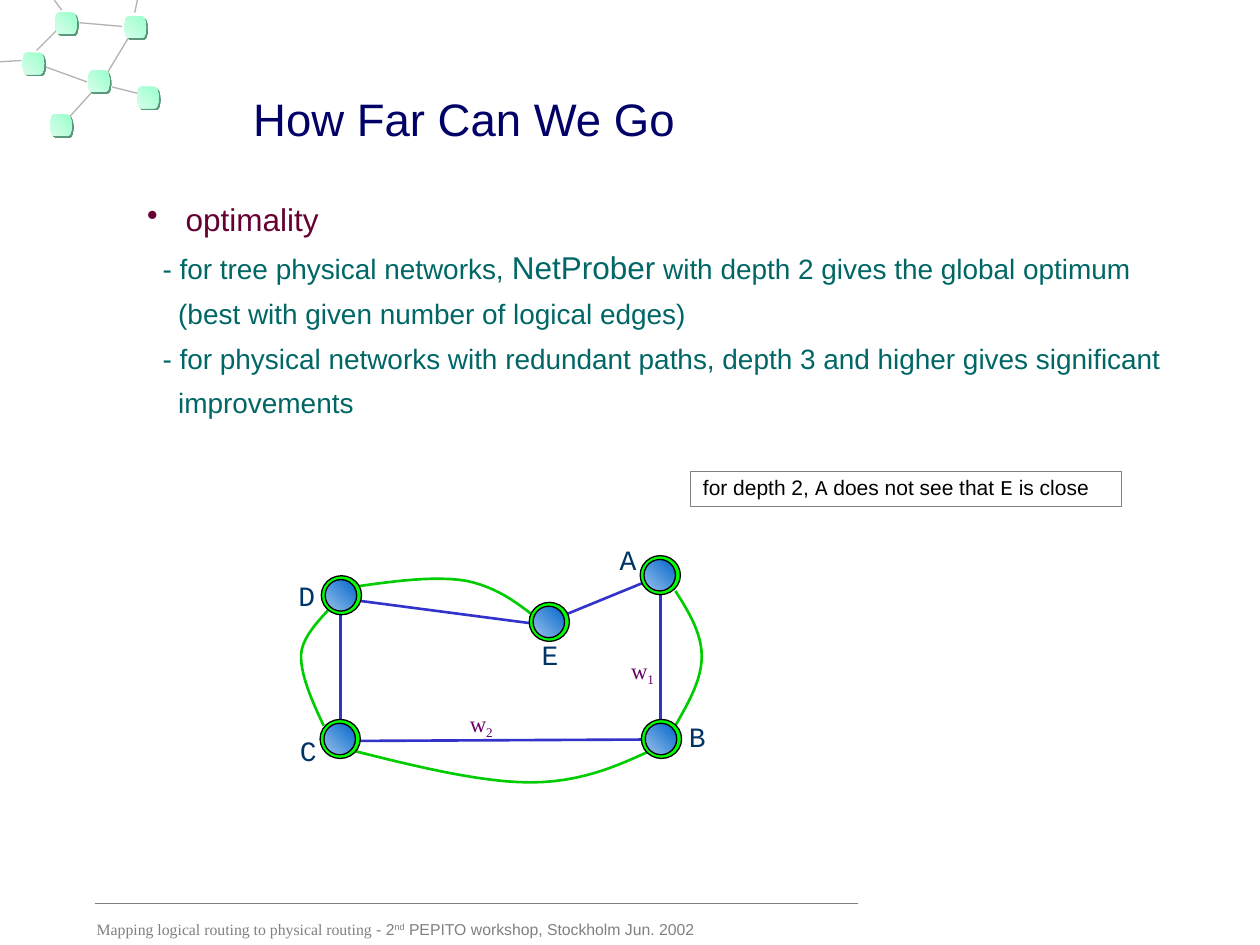
"""Build the slide on how far logical routing can be optimised."""
from lxml import etree
from pptx import Presentation
from pptx.dml.color import RGBColor
from pptx.enum.shapes import MSO_CONNECTOR, MSO_SHAPE
from pptx.enum.text import MSO_ANCHOR, MSO_AUTO_SIZE, PP_ALIGN
from pptx.oxml.ns import qn
from pptx.util import Pt

STRAIGHT = MSO_CONNECTOR.STRAIGHT
DRUM, OVAL, RECTANGLE = MSO_SHAPE.FLOWCHART_DIRECT_ACCESS_STORAGE, MSO_SHAPE.OVAL, MSO_SHAPE.RECTANGLE
TOP, LEFT, FIT_TEXT = MSO_ANCHOR.TOP, PP_ALIGN.LEFT, MSO_AUTO_SIZE.SHAPE_TO_FIT_TEXT
COLORS = {
    "title": "000066", "bullet": "660033", "body": "006666", "black": "000000",
    "label": "003366", "weight": "660066", "gray": "808080", "ornament": "B2B2B2",
    "physical": "3333CC", "logical": "00CC00", "ring": "00FF00",
    "node dark": "0066CC", "node light": "9AC2EA",
    "drum dark": "99FFCC", "drum light": "D8FEEB", "drum shadow": "5B9879",
}
COURIER, TIMES = "Courier New", "Times New Roman"
CURVE_STEPS = 12


def add_run(paragraph, text, size=16, color="body", font="Arial", baseline=0):
    run = paragraph.add_run()
    run.text = text
    run.font.size = Pt(size)
    run.font.name = font
    run.font.color.rgb = RGBColor.from_string(COLORS[color])
    if baseline:
        run.font._element.set("baseline", str(baseline * 1000))


def add_line(shapes, start, end, color, width=0.75):
    line = shapes.add_connector(STRAIGHT, *map(Pt, start + end))
    line.line.color.rgb = RGBColor.from_string(COLORS[color])
    line.line.width = Pt(width)
    etree.SubElement(line._element.spPr, qn("a:effectLst"))


presentation = Presentation()
presentation.slide_width, presentation.slide_height = Pt(720), Pt(540)
slide = presentation.slides.add_slide(presentation.slide_layouts[5])

title = slide.shapes.title
title.left, title.top, title.width, title.height = map(Pt, (137.5, 48.2, 470.2, 38.9))
title.text_frame.vertical_anchor = TOP
title.text_frame.auto_size = FIT_TEXT
title.text_frame.paragraphs[0].alignment = LEFT
add_run(title.text_frame.paragraphs[0], "How Far Can We Go", size=26, color="title")

ornament = slide.shapes.add_group_shape().shapes
ornament_lines = [
    ((25.9, 38.2), (49.7, 46.8)), ((38.9, 67.7), (52.6, 52.6)), ((61.2, 41.8), (73.4, 21.6)),
    ((64.1, 49.7), (78.5, 53.3)), ((12.2, 34.6), (0, 35.3)), ((45.4, 13), (69.8, 15.1)),
    ((20.9, 28.8), (32.4, 17.3)), ((77, 7.2), (78.5, 0)), ((35.3, 5.8), (31, 0)),
]
for start, end in ornament_lines:
    add_line(ornament, start, end, "ornament")

gradients = []
for left, top in [(13, 30.2), (50.4, 40.3), (71.3, 9.4), (31.7, 7.2), (78.5, 49.7), (28.8, 65.5)]:
    drum = ornament.add_shape(DRUM, Pt(left), Pt(top), Pt(12.2), Pt(12.2))
    drum.line.fill.background()
    drum.shadow.inherit = False
    effects = drum._element.spPr.find(qn("a:effectLst"))
    shadow = etree.SubElement(effects, qn("a:outerShdw"), dist=str(Pt(1.4)), dir="2700000")
    etree.SubElement(shadow, qn("a:srgbClr"), val=COLORS["drum shadow"])
    gradients.append((drum, "drum"))

body = slide.shapes.add_textbox(Pt(77), Pt(110.9), Pt(599.8), Pt(132.5)).text_frame
body.word_wrap = True
body.auto_size = FIT_TEXT
bullet = body.paragraphs[0]
properties = bullet._p.get_or_add_pPr()
properties.set("marL", str(Pt(22)))
properties.set("indent", str(Pt(-22)))
bullet_color = etree.SubElement(properties, qn("a:buClr"))
etree.SubElement(bullet_color, qn("a:srgbClr"), val=COLORS["bullet"])
etree.SubElement(properties, qn("a:buChar"), char="•")
add_run(bullet, "optimality", size=18, color="bullet")
body_lines = [
    (8.9, [("- for tree physical networks, ", 16), ("NetProber", 18),
           (" with depth 2 gives the global optimum", 16)]),
    (17.8, [("(best with given number of logical edges)", 16)]),
    (8.9, [("- for physical networks with redundant paths, depth 3 and higher gives significant", 16)]),
    (17.8, [("improvements", 16)]),
]
for margin, runs in body_lines:
    paragraph = body.add_paragraph()
    paragraph.line_spacing = 0.8
    paragraph.space_before = Pt(10)
    paragraph._p.get_or_add_pPr().set("marL", str(Pt(margin)))
    for text, size in runs:
        add_run(paragraph, text, size=size)

note = slide.shapes.add_shape(RECTANGLE, Pt(394.6), Pt(269.3), Pt(246.2), Pt(20.2))
note.shadow.inherit = False
note.fill.background()
note.line.color.rgb = RGBColor.from_string(COLORS["gray"])
note.line.width = Pt(0.75)
note.text_frame.word_wrap = True
note.text_frame.auto_size = FIT_TEXT
note.text_frame.vertical_anchor = TOP
paragraph = note.text_frame.paragraphs[0]
paragraph.alignment = LEFT
paragraph.line_spacing = 0.9
note_runs = [("for depth 2, ", "Arial"), ("A", COURIER), (" does not see that ", "Arial"),
             ("E", COURIER), (" is close", "Arial")]
for text, font in note_runs:
    add_run(paragraph, text, size=12, color="black", font=font)

physical_edges = [
    ((205.9, 343.4), (305.3, 356.4)), ((313.9, 355), (368.6, 332.6)),
    ((377.3, 411.8), (377.3, 335.5)), ((204.5, 423.4), (368.6, 422.6)),
    ((194.4, 411.1), (194.4, 347.8)),
]
for start, end in physical_edges:
    add_line(slide.shapes, start, end, "physical", width=1.5)

logical_edges = [
    [(385.9, 414.7), (393.8, 401), (401, 388.1), (401, 375.1), (401, 362.2), (393.8, 349.9), (385.9, 337.7)],
    [(306, 352.8), (295.2, 344.2), (283.7, 335.5), (266.4, 331.9), (249.1, 329), (225.4, 331.9), (201.6, 335.5)],
    [(185, 414.7), (177.8, 399.6), (171.4, 384.5), (172.1, 373.7), (172.8, 362.2), (187.2, 349.9), (189.4, 346.3)],
    [(199.4, 428.4), (236.9, 437.8), (274.3, 447.1), (303.1, 447.1), (331.9, 447.1), (352.8, 437.8), (373, 428.4)],
]
for controls in logical_edges:
    points = []
    for first in (0, 3):
        for step in range(1, CURVE_STEPS + 1):
            t = step / CURVE_STEPS
            weights = ((1 - t) ** 3, 3 * t * (1 - t) ** 2, 3 * t ** 2 * (1 - t), t ** 3)
            segment = zip(*controls[first:first + 4])
            points.append([Pt(sum(w * c for w, c in zip(weights, axis))) for axis in segment])
    builder = slide.shapes.build_freeform(*map(Pt, controls[0]))
    builder.add_line_segments(points, close=False)
    curve = builder.convert_to_shape()
    curve.shadow.inherit = False
    curve.fill.background()
    curve.line.color.rgb = RGBColor.from_string(COLORS["logical"])
    curve.line.width = Pt(1.5)

for left, top in [(182.9, 411.1), (183.6, 329), (365.8, 317.5), (302.4, 344.2), (366.5, 411.1)]:
    node = slide.shapes.add_group_shape().shapes
    ring = node.add_shape(OVAL, Pt(left), Pt(top), Pt(23), Pt(22.3))
    ring.fill.solid()
    ring.fill.fore_color.rgb = RGBColor.from_string(COLORS["ring"])
    core = node.add_shape(OVAL, Pt(left + 2.2), Pt(top + 2.2), Pt(18), Pt(18))
    gradients.append((core, "node"))
    for circle in (ring, core):
        circle.shadow.inherit = False
        circle.line.color.rgb = RGBColor.from_string(COLORS["black"])
        circle.line.width = Pt(0.75)

for shape, name in gradients:
    shape.fill.gradient()
    shape.fill.gradient_angle = 225
    for stop, position, shade in zip(shape.fill.gradient_stops, (0, 1), ("dark", "light")):
        stop.position = position
        stop.color.rgb = RGBColor.from_string(COLORS[f"{name} {shade}"])

letter = {"font": COURIER, "color": "label"}
weight = {"size": 13, "font": TIMES, "color": "weight"}
footer = {"size": 9, "color": "gray"}
text_boxes = [
    ((386.6, 407.5, 27.4, 26.6), [("B", letter)]),
    ((347, 306.7, 27.4, 26.6), [("A", letter)]),
    ((164.2, 415.4, 27.4, 26.6), [("C", letter)]),
    ((163.4, 326.9, 27.4, 26.6), [("D", letter)]),
    ((302.4, 360.7, 27.4, 26.6), [("E", letter)]),
    ((353.5, 371.5, 30.2, 25.2), [("w", weight), ("1", {**weight, "baseline": -25})]),
    ((261.4, 401.8, 30.2, 25.2), [("w", weight), ("2", {**weight, "baseline": -25})]),
    ((48.2, 522, 424.8, 18), [
        ("Mapping logical routing to physical routing", {**footer, "font": TIMES}),
        (" - 2", footer), ("nd", {**footer, "baseline": 30}),
        (" PEPITO workshop, Stockholm Jun. 2002", footer)]),
]
for box, runs in text_boxes:
    frame = slide.shapes.add_textbox(*map(Pt, box)).text_frame
    frame.word_wrap = True
    frame.auto_size = FIT_TEXT
    for text, style in runs:
        add_run(frame.paragraphs[0], text, **style)

add_line(slide.shapes, (54, 516.2), (490.3, 516.2), "gray")
presentation.save("out.pptx")
